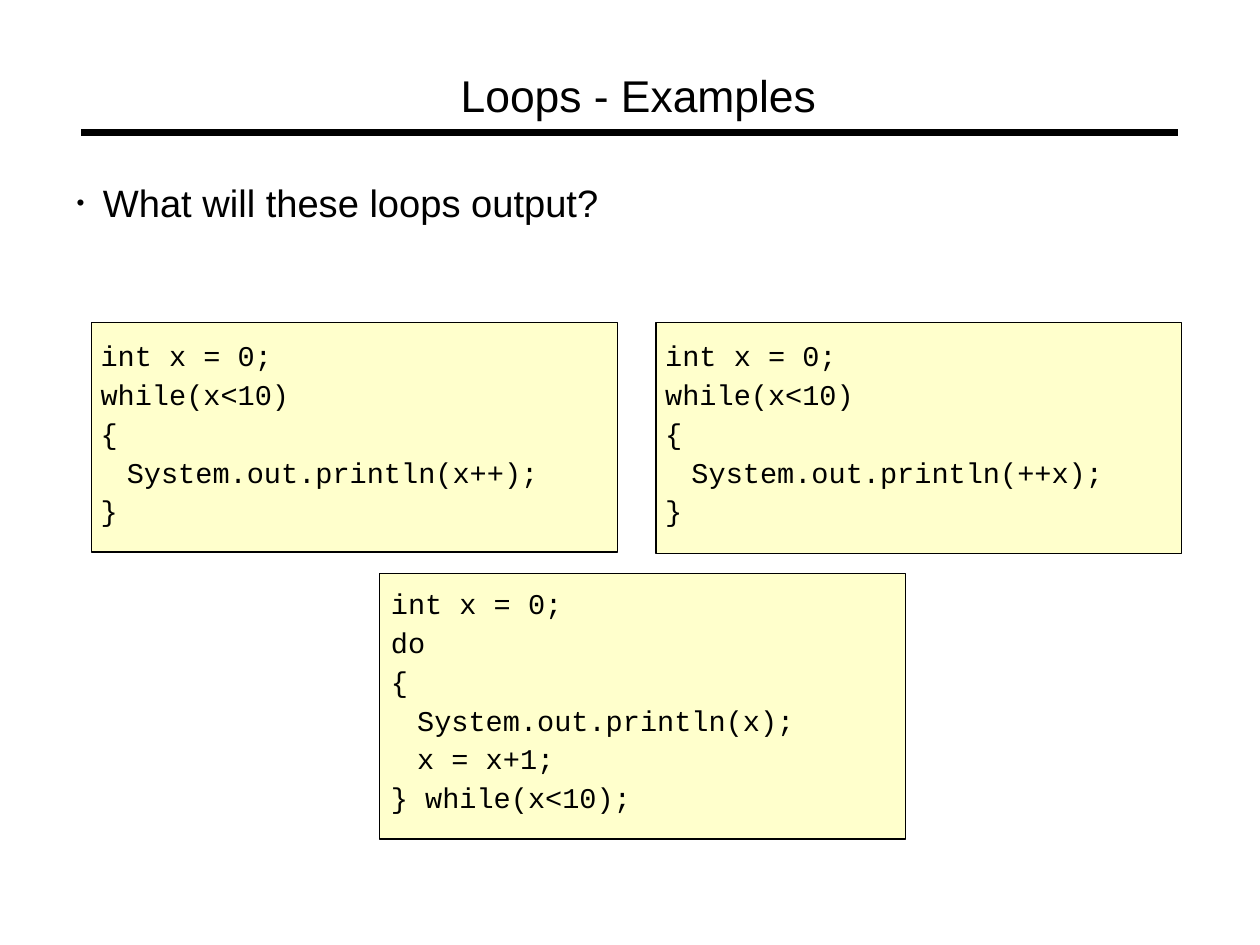
"""Build the loop examples slide."""
from lxml.etree import SubElement
from pptx import Presentation
from pptx.dml.color import RGBColor
from pptx.enum.shapes import MSO_CONNECTOR, MSO_SHAPE
from pptx.oxml.ns import qn
from pptx.util import Cm, Inches, Pt

BLACK = RGBColor(0, 0, 0)
CREAM = RGBColor(0xFF, 0xFF, 0xCC)
TITLE = {"name": "Arial", "size": Pt(28)}
BODY = {"name": "Arial", "size": Pt(24)}
CODE = {"name": "Courier New", "size": Pt(18)}
HANG = Inches(0.23)
PANEL_WIDTH = 4.6
LINE_GAP = Pt(2.8)

POST_INCREMENT = ["int x = 0;", "while(x<10)", "{", "\tSystem.out.println(x++);", "}"]
PRE_INCREMENT = ["int x = 0;", "while(x<10)", "{", "\tSystem.out.println(++x);", "}"]
DO_WHILE = ["int x = 0;", "do", "{", "\tSystem.out.println(x);", "\tx = x+1;", "} while(x<10);"]


def hang_indent(p):
    """Give a paragraph a hanging indent."""
    pPr = p._p.get_or_add_pPr()
    pPr.set("marL", str(HANG))
    pPr.set("indent", str(-HANG))
    return pPr


def add_bullet(p):
    """Give a paragraph a small black bullet."""
    pPr = hang_indent(p)
    color = SubElement(pPr, qn("a:buClr"))
    SubElement(color, qn("a:srgbClr"), val=str(BLACK))
    SubElement(pPr, qn("a:buSzPct"), val="59000")
    SubElement(pPr, qn("a:buFont"), typeface="Arial")
    SubElement(pPr, qn("a:buChar"), char="•")


def add_text(shapes, box, lines, font, style=None):
    """Add a text box with one paragraph per line."""
    tf = shapes.add_textbox(*map(Inches, box)).text_frame
    tf.word_wrap = True
    for side in ("left", "top", "right", "bottom"):
        setattr(tf, f"margin_{side}", 0)
    for i, line in enumerate(lines):
        p = tf.add_paragraph() if i else tf.paragraphs[0]
        if style:
            style(p)
        if i:
            p.space_before = LINE_GAP
        r = p.add_run()
        r.text = line
        for key, value in font.items():
            setattr(r.font, key, value)
        r.font.color.rgb = BLACK


def add_rule(s, left, right, y):
    """Add the thick rule under the title."""
    ends = map(Inches, (left, y, right, y))
    rule = s.shapes.add_connector(MSO_CONNECTOR.STRAIGHT, *ends)
    rule.line.color.rgb = BLACK
    rule.line.width = Pt(4.31)
    SubElement(rule._element.spPr, qn("a:effectLst"))


def add_code_panel(s, left, top, height, inset, lines):
    """Add a grouped cream panel with its code."""
    shapes = s.shapes.add_group_shape().shapes
    box = map(Inches, (left, top, PANEL_WIDTH, height))
    sp = shapes.add_shape(MSO_SHAPE.ROUNDED_RECTANGLE, *box)
    sp.adjustments[0] = 0
    sp.shadow.inherit = False
    sp.fill.solid()
    sp.fill.fore_color.rgb = CREAM
    sp.line.color.rgb = BLACK
    sp.line.width = Pt(0.75)
    dx, dy = inset
    text_box = (left + dx, top + dy, 4.4, 0.33 * len(lines))
    add_text(shapes, text_box, lines, CODE, hang_indent)


def main():
    """Build and save the slide."""
    prs = Presentation()
    prs.slide_width = Cm(28)
    prs.slide_height = Cm(21)
    s = prs.slides.add_slide(prs.slide_layouts[6])
    add_rule(s, 0.71, 10.31, 1.16)
    add_text(s.shapes, (0.67, 1.57, 9.48, 0.4), ["What will these loops output?"], BODY, add_bullet)
    add_text(s.shapes, (4.03, 0.6, 3.68, 0.47), ["Loops - Examples"], TITLE)
    add_code_panel(s, 0.8, 2.82, 2.01, (0.08, 0.14), POST_INCREMENT)
    add_code_panel(s, 5.74, 2.82, 2.02, (0.08, 0.14), PRE_INCREMENT)
    add_code_panel(s, 3.32, 5.02, 2.32, (0.1, 0.11), DO_WHILE)
    prs.save("out.pptx")


if __name__ == "__main__":
    main()
